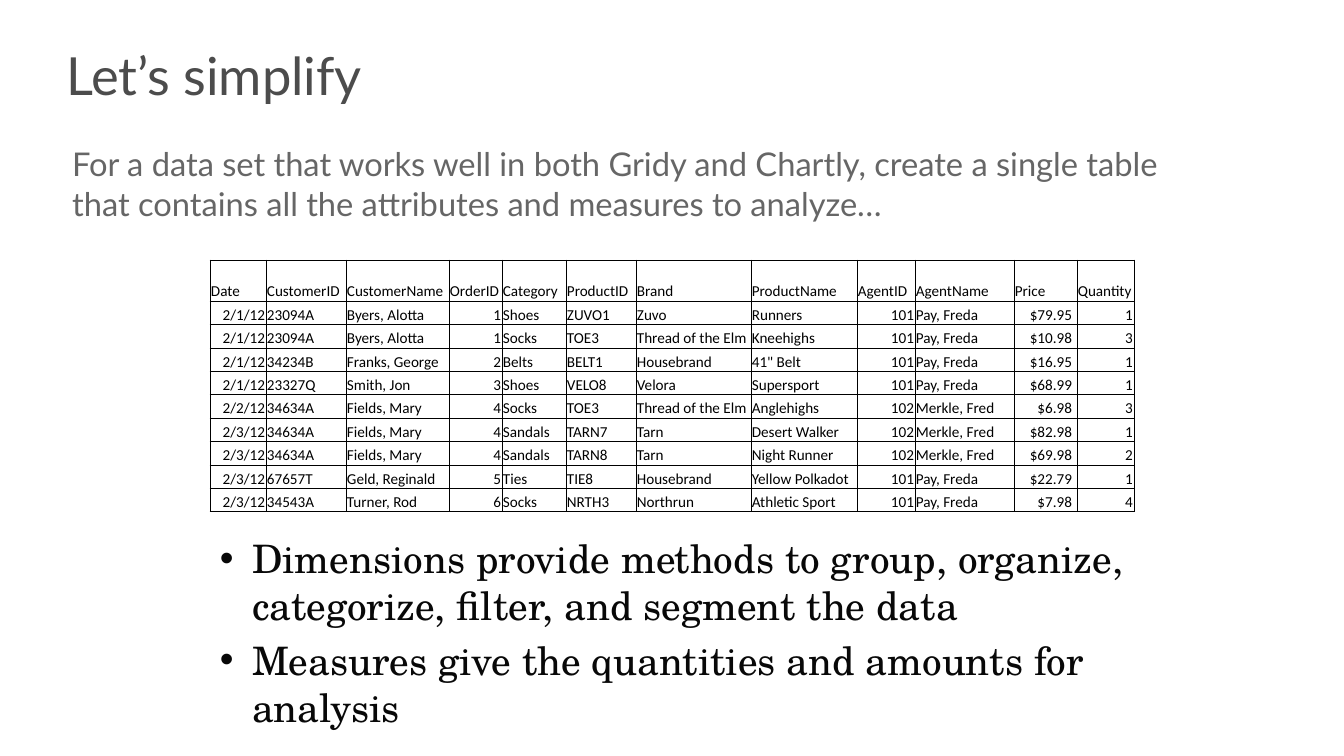
"""Builds a slide with a flat order table and notes on dimensions and measures."""
from dataclasses import dataclass

from lxml.etree import SubElement
from pptx import Presentation
from pptx.dml.color import RGBColor
from pptx.enum.text import MSO_ANCHOR, MSO_AUTO_SIZE, PP_ALIGN
from pptx.oxml.ns import qn
from pptx.util import Emu, Pt

TITLE = "Let’s simplify"
INTRO = ("For a data set that works well in both Gridy and Chartly, create a single table "
         "that contains all the attributes and measures to analyze…")
POINTS = [
    "Dimensions provide methods to group, organize, categorize, filter, and segment the data",
    "Measures give the quantities and amounts for analysis",
]
COLS = [
    ("Date", 56), ("CustomerID", 80), ("CustomerName", 103), ("OrderID", 53),
    ("Category", 64), ("ProductID", 70), ("Brand", 115), ("ProductName", 106),
    ("AgentID", 58), ("AgentName", 99), ("Price", 63), ("Quantity", 57),
]
RIGHT = {"Date", "OrderID", "AgentID", "Price", "Quantity"}
AGENTS = {"101": "Pay, Freda", "102": "Merkle, Fred"}
BUYERS = {
    "23094A": "Byers, Alotta", "34234B": "Franks, George", "23327Q": "Smith, Jon",
    "34634A": "Fields, Mary", "67657T": "Geld, Reginald", "34543A": "Turner, Rod",
}
ORDERS = [
    ("2/1/12", "23094A", "1", "Shoes", "ZUVO1", "Zuvo", "Runners", "101", "$79.95", "1"),
    ("2/1/12", "23094A", "1", "Socks", "TOE3", "Thread of the Elm", "Kneehighs", "101", "$10.98", "3"),
    ("2/1/12", "34234B", "2", "Belts", "BELT1", "Housebrand", '41" Belt', "101", "$16.95", "1"),
    ("2/1/12", "23327Q", "3", "Shoes", "VELO8", "Velora", "Supersport", "101", "$68.99", "1"),
    ("2/2/12", "34634A", "4", "Socks", "TOE3", "Thread of the Elm", "Anglehighs", "102", "$6.98", "3"),
    ("2/3/12", "34634A", "4", "Sandals", "TARN7", "Tarn", "Desert Walker", "102", "$82.98", "1"),
    ("2/3/12", "34634A", "4", "Sandals", "TARN8", "Tarn", "Night Runner", "102", "$69.98", "2"),
    ("2/3/12", "67657T", "5", "Ties", "TIE8", "Housebrand", "Yellow Polkadot", "101", "$22.79", "1"),
    ("2/3/12", "34543A", "6", "Socks", "NRTH3", "Northrun", "Athletic Sport", "101", "$7.98", "4"),
]


@dataclass(frozen=True)
class Style:
    font: str
    size: float
    color: str


@dataclass(frozen=True)
class Theme:
    title: Style = Style("Lato", 45, "4C4C4C")
    intro: Style = Style("Lato", 28, "666666")
    cell: Style = Style("Calibri", 13, "000000")
    point: Style = Style("TeX Gyre Schola", 33.6, "080808")
    rule: str = "000000"


THEME = Theme()
SCALE = 914400 / 84


def px(n):
    return Emu(round(n * SCALE))


def place(shape, x, y, w, h):
    shape.left, shape.top, shape.width, shape.height = map(px, (x, y, w, h))


def write(para, text, style):
    run = para.add_run()
    run.text = text
    run.font.name = style.font
    run.font.size = Pt(style.size)
    run.font.color.rgb = RGBColor.from_string(style.color)


def border(cell):
    props = cell._tc.get_or_add_tcPr()
    for side in ("lnL", "lnR", "lnT", "lnB"):
        line = SubElement(props, qn(f"a:{side}"), w=str(Pt(0.5)))
        fill = SubElement(line, qn("a:solidFill"))
        SubElement(fill, qn("a:srgbClr"), val=THEME.rule)


def add_title(slide):
    title = slide.shapes.title
    place(title, 66, 55, 1216, 51)
    frame = title.text_frame
    frame.margin_left = frame.margin_right = frame.margin_top = frame.margin_bottom = 0
    frame.auto_size = MSO_AUTO_SIZE.SHAPE_TO_FIT_TEXT
    para = frame.paragraphs[0]
    para.alignment = PP_ALIGN.LEFT
    para.line_spacing = 0.8
    write(para, TITLE, THEME.title)


def add_intro(slide):
    box = slide.shapes.add_textbox(px(64), px(140), px(1149), px(87))
    frame = box.text_frame
    frame.word_wrap = True
    frame.auto_size = MSO_AUTO_SIZE.SHAPE_TO_FIT_TEXT
    write(frame.paragraphs[0], INTRO, THEME.intro)


def add_points(slide):
    body = slide.placeholders[1]
    place(body, 210, 529, 924, 126)
    frame = body.text_frame
    frame.auto_size = MSO_AUTO_SIZE.NONE
    frame.vertical_anchor = MSO_ANCHOR.TOP
    frame.margin_left = frame.margin_right = px(10)
    frame.margin_top = frame.margin_bottom = px(5)
    for i, text in enumerate(POINTS):
        para = frame.add_paragraph() if i else frame.paragraphs[0]
        props = para._p.get_or_add_pPr()
        props.set("marL", str(px(32)))
        props.set("indent", str(px(-32)))
        write(para, text, THEME.point)


def add_orders(slide):
    heads = [name for name, _ in COLS]
    rows = [heads]
    for day, buyer, order, kind, code, brand, item, agent, price, count in ORDERS:
        rows.append([day, buyer, BUYERS[buyer], order, kind, code, brand, item,
                     agent, AGENTS[agent], price, count])
    top, full = 41, 252
    table = slide.shapes.add_table(len(rows), len(COLS), px(210), px(260), px(924), px(full)).table
    table.first_row = table.horz_banding = False
    for col, (_, width) in zip(table.columns, COLS):
        col.width = px(width)
    for r, row in enumerate(rows):
        table.rows[r].height = px(top if r == 0 else (full - top) / len(ORDERS))
        for c, text in enumerate(row):
            cell = table.cell(r, c)
            cell.margin_left = cell.margin_right = cell.margin_top = px(1)
            cell.margin_bottom = 0
            cell.vertical_anchor = MSO_ANCHOR.BOTTOM
            border(cell)
            cell.fill.background()
            para = cell.text_frame.paragraphs[0]
            if r and heads[c] in RIGHT:
                para.alignment = PP_ALIGN.RIGHT
                if heads[c] == "Price":
                    cell.margin_right = px(5)
            write(para, text, THEME.cell)


def main():
    deck = Presentation()
    deck.slide_width, deck.slide_height = px(1344), px(756)
    slide = deck.slides.add_slide(deck.slide_layouts[1])
    add_title(slide)
    add_orders(slide)
    add_points(slide)
    add_intro(slide)
    deck.save("out.pptx")


if __name__ == "__main__":
    main()
